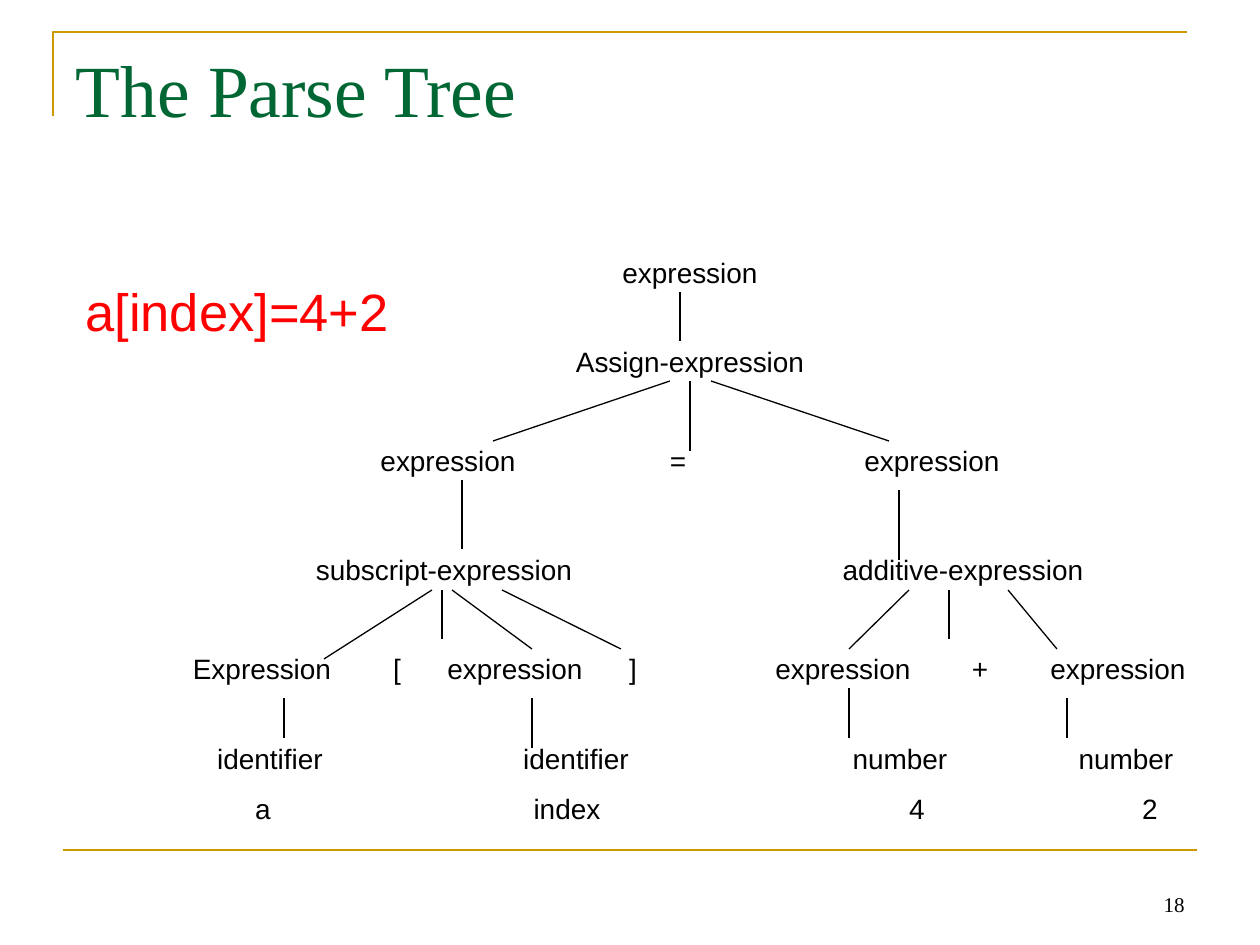
from lxml.etree import SubElement
from pptx import Presentation
from pptx.dml.color import RGBColor
from pptx.enum.shapes import MSO_CONNECTOR
from pptx.enum.text import MSO_ANCHOR, PP_ALIGN
from pptx.oxml.ns import qn
from pptx.util import Pt

EMU_PER_PX = 914400 / 126
BLACK = RGBColor(0x00, 0x00, 0x00)
GOLD = RGBColor(0xCC, 0x99, 0x00)
GREEN = RGBColor(0x00, 0x66, 0x33)
RED = RGBColor(0xFF, 0x00, 0x00)

NODE_HEIGHT = 40
CHARACTER_WIDTH = 14
NODE_PADDING = 30

TREE_ROWS = [
    (272, [("expression", 690)]),
    (361, [("Assign-expression", 690)]),
    (460, [("expression", 448), ("=", 678), ("expression", 932)]),
    (569, [("subscript-expression", 444), ("additive-expression", 963)]),
    (668, [("Expression", 262), ("[", 397), ("expression", 515), ("]", 633),
           ("expression", 843), ("+", 980), ("expression", 1118)]),
    (758, [("identifier", 270), ("identifier", 576), ("number", 900), ("number", 1126)]),
    (808, [("a", 263), ("index", 567), ("4", 917), ("2", 1150)]),
]

BRANCHES = [
    (680, 292, 680, 341),
    (670, 381, 493, 441),
    (690, 381, 690, 451),
    (711, 381, 889, 441),
    (462, 480, 462, 549),
    (899, 490, 899, 560),
    (432, 590, 324, 659),
    (442, 590, 442, 639),
    (452, 590, 532, 649),
    (502, 590, 621, 649),
    (909, 590, 849, 649),
    (949, 590, 949, 639),
    (1008, 590, 1057, 649),
    (284, 698, 284, 738),
    (532, 698, 532, 748),
    (849, 688, 849, 738),
    (1067, 698, 1067, 738),
]


def px(length):
    return round(length * EMU_PER_PX)


def set_text(shape, text, font_name, size, color, alignment, anchor):
    text_frame = shape.text_frame
    text_frame.text = text
    text_frame.vertical_anchor = anchor
    paragraph = text_frame.paragraphs[0]
    paragraph.alignment = alignment
    font = paragraph.runs[0].font
    font.name = font_name
    font.size = Pt(size)
    font.color.rgb = color


def add_title(slide, text):
    title = slide.shapes.title
    title.left, title.top, title.width, title.height = map(px, (63, 38, 1134, 158))
    set_text(title, text, "Times New Roman", 42, GREEN, PP_ALIGN.LEFT, MSO_ANCHOR.TOP)


def add_text(slide, box, text, font_name, size, color, alignment, anchor):
    shape = slide.shapes.add_textbox(*map(px, box))
    shape.text_frame.word_wrap = True
    set_text(shape, text, font_name, size, color, alignment, anchor)
    return shape


def add_node(slide, text, center_x, center_y):
    width = CHARACTER_WIDTH * len(text) + NODE_PADDING
    box = (center_x - width // 2, center_y - NODE_HEIGHT // 2, width, NODE_HEIGHT)
    node = add_text(slide, box, text, "Arial", 16, BLACK, PP_ALIGN.CENTER, MSO_ANCHOR.MIDDLE)
    text_frame = node.text_frame
    text_frame.word_wrap = False
    text_frame.margin_left = text_frame.margin_right = 0


def add_line(slide, ends, color, width):
    connector = slide.shapes.add_connector(MSO_CONNECTOR.STRAIGHT, *map(px, ends))
    connector.line.color.rgb = color
    connector.line.width = Pt(width)
    SubElement(connector._element.spPr, qn("a:effectLst"))


def add_corner(slide):
    builder = slide.shapes.build_freeform(px(53), px(116))
    builder.add_line_segments([(px(53), px(32)), (px(1187), px(32))], close=False)
    corner = builder.convert_to_shape()
    corner.shadow.inherit = False
    corner.fill.background()
    corner.line.color.rgb = GOLD
    corner.line.width = Pt(1.5)


def add_tree(slide):
    for center_y, nodes in TREE_ROWS:
        for text, center_x in nodes:
            add_node(slide, text, center_x, center_y)
    for ends in BRANCHES:
        add_line(slide, ends, BLACK, 0.75)


def main():
    presentation = Presentation()
    presentation.slide_width = px(1260)
    presentation.slide_height = px(945)
    slide = presentation.slides.add_slide(presentation.slide_layouts[5])
    add_corner(slide)
    add_line(slide, (63, 850, 1197, 850), GOLD, 1.5)
    add_title(slide, "The Parse Tree")
    add_text(slide, (73, 273, 336, 105), "a[index]=4+2", "Arial", 30, RED,
             PP_ALIGN.LEFT, MSO_ANCHOR.TOP)
    add_tree(slide)
    add_text(slide, (903, 860, 294, 63), "18", "Times New Roman", 12, BLACK,
             PP_ALIGN.RIGHT, MSO_ANCHOR.BOTTOM)
    presentation.save("out.pptx")


if __name__ == "__main__":
    main()
